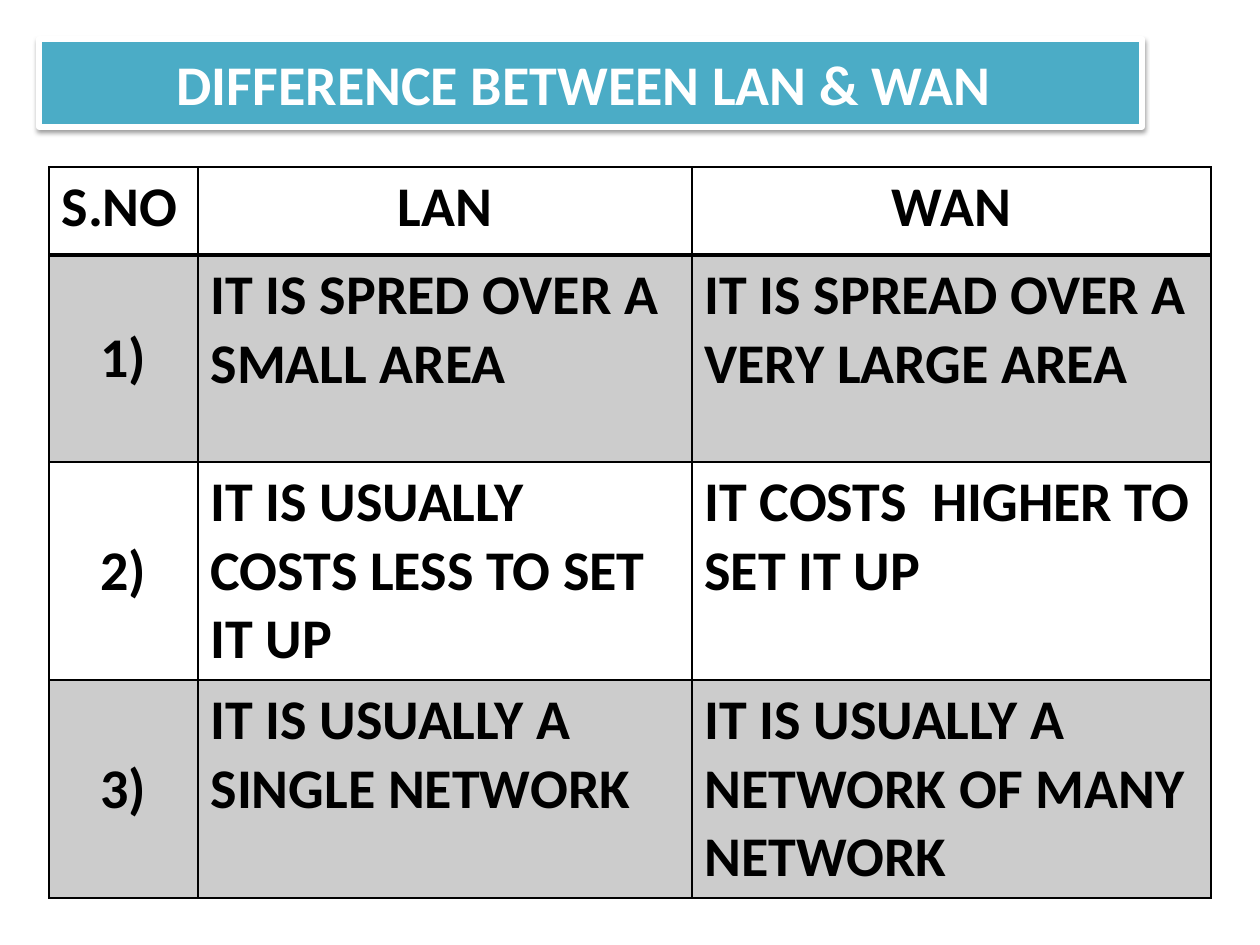
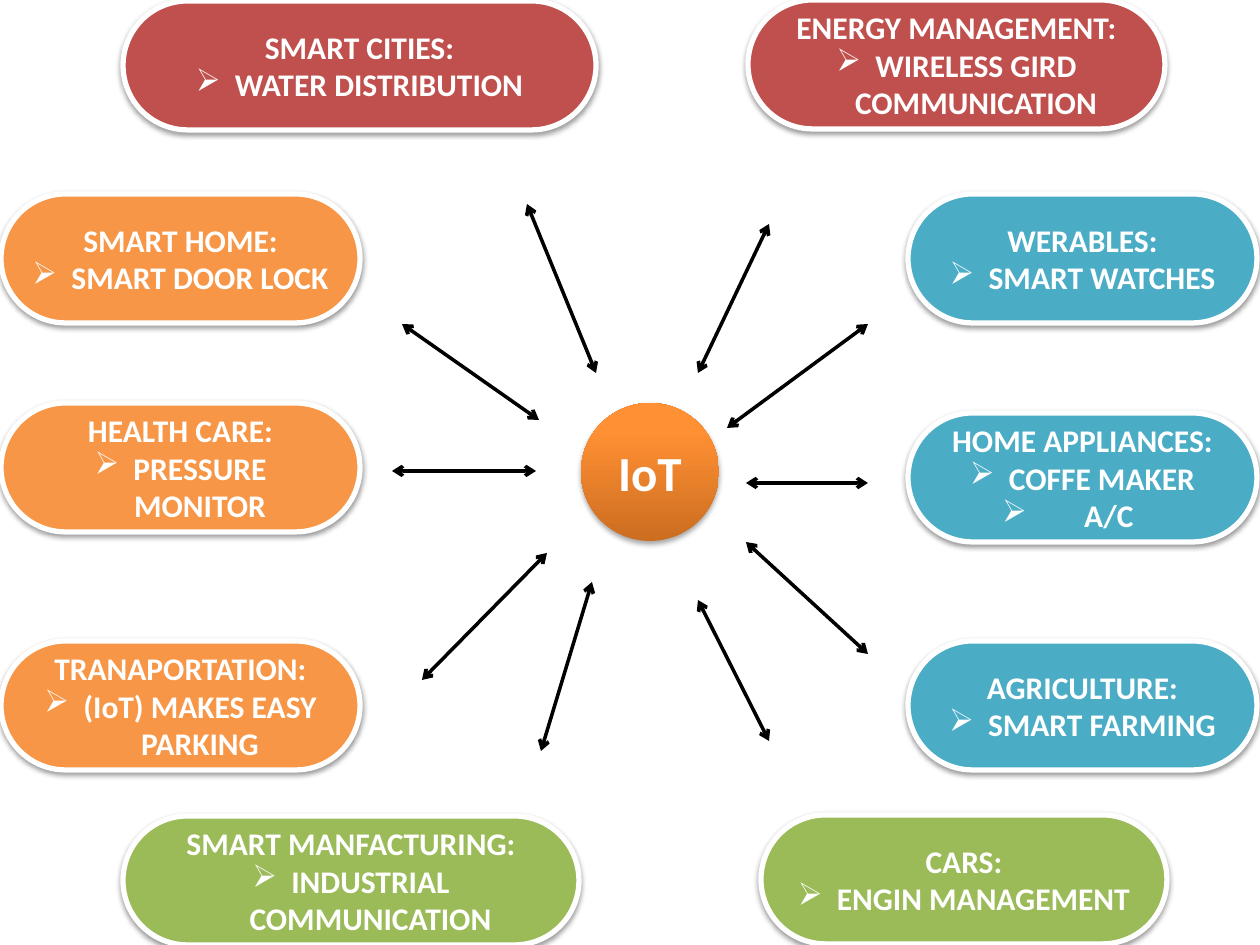
from dataclasses import dataclass

from lxml import etree
from pptx import Presentation
from pptx import util as u
from pptx.dml.color import RGBColor
from pptx.enum import shapes, text
from pptx.oxml import ns

EMU_PER_PX = 914400 / 126


@dataclass(frozen=True)
class Theme:
    font: str = "Calibri"
    white: str = "FFFFFF"
    black: str = "000000"
    band: str = "CCCCCC"
    red: str = "C0504D"
    orange: str = "F79646"
    teal: str = "4BACC6"
    green: str = "9BBB59"
    hub_dark: str = "CC6D20"
    hub_light: str = "FF9033"
    heading_size: int = 32
    hub_size: int = 28
    topic_size: int = 18
    outline: int = 3
    grid_line: float = 0.96
    header_line: float = 1.98


THEME = Theme()
CENTER = text.PP_ALIGN.CENTER
LEFT = text.PP_ALIGN.LEFT

COMPARISON = [
    ("S.NO", "LAN", "WAN"),
    ("1)", "IT IS SPRED OVER A SMALL AREA", "IT IS SPREAD OVER A VERY LARGE AREA"),
    ("2)", "IT IS USUALLY COSTS LESS TO SET IT UP", "IT COSTS  HIGHER TO SET IT UP"),
    ("3)", "IT IS USUALLY A SINGLE NETWORK", "IT IS USUALLY A NETWORK OF MANY NETWORK"),
]
COLUMN_WIDTHS = (149, 494, 519)
ROW_HEIGHTS = (88, 207, 218, 218)

# left, width, colour, then (top, heading, bullet) for each topic in the column
SIDE_COLUMNS = [
    (1, 359, THEME.orange, [
        (194, "SMART HOME:", "SMART DOOR LOCK"),
        (403, "HEALTH CARE:", "PRESSURE MONITOR"),
        (641, "TRANAPORTATION:", "(IoT) MAKES EASY PARKING"),
    ]),
    (908, 349, THEME.teal, [
        (194, "WERABLES:", "SMART WATCHES"),
        (413, "HOME APPLIANCES:", "COFFE MAKER"),
        (641, "AGRICULTURE:", "SMART FARMING"),
    ]),
]
# left, top, width, colour, heading, bullet
OUTER_TOPICS = [
    (123, 1, 473, THEME.red, "SMART CITIES:", "WATER DISTRIBUTION"),
    (748, 0, 417, THEME.red, "ENERGY MANAGEMENT:", "WIRELESS GIRD COMMUNICATION"),
    (123, 816, 456, THEME.green, "SMART MANFACTURING:", "INDUSTRIAL COMMUNICATION"),
    (761, 815, 406, THEME.green, "CARS:", "ENGIN MANAGEMENT"),
]
TOPIC_HEIGHT = 129
SPOKES = [
    (547, 553, 422, 680), (402, 324, 539, 420), (592, 582, 541, 751),
    (769, 224, 698, 373), (527, 204, 596, 373), (868, 483, 746, 483),
    (868, 654, 746, 542), (868, 324, 727, 428), (698, 600, 769, 741),
    (392, 471, 536, 471),
]


def px(length):
    return u.Emu(round(length * EMU_PER_PX))


def add_xml(parent, tag, **attributes):
    """Append a DrawingML child such as "a:ln" and return it."""
    child = etree.SubElement(parent, ns.qn(tag))
    for name, value in attributes.items():
        child.set(name, str(value))
    return child


def write(paragraph, content, *, size, color=THEME.white, align=CENTER,
          bullet=None, indent=39, hanging=39, level=0):
    """Fill a paragraph; a bullet hangs to the left of the indent."""
    paragraph.alignment = align
    run = paragraph.add_run()
    run.text = content
    run.font.name = THEME.font
    run.font.size = u.Pt(size)
    run.font.bold = True
    run.font.color.rgb = RGBColor.from_string(color)
    if bullet:
        paragraph.level = level
        properties = paragraph._p.get_or_add_pPr()
        properties.set("marL", str(px(indent)))
        properties.set("indent", str(-px(hanging)))
        add_xml(properties, "a:buChar", char=bullet)


def add_shadow(shape, opacity, distance):
    shape.shadow.inherit = False
    effects = shape._element.spPr.find(ns.qn("a:effectLst"))
    shadow = add_xml(effects, "a:outerShdw", blurRad=u.Pt(3.1), dist=u.Pt(distance),
                     dir=90 * 60000, rotWithShape=0)
    color = add_xml(shadow, "a:srgbClr", val=THEME.black)
    add_xml(color, "a:alpha", val=opacity * 1000)


def add_panel(slide, kind, left, top, width, height, color):
    """Add a filled shape with a white outline and a soft shadow."""
    shape = slide.shapes.add_shape(kind, px(left), px(top), px(width), px(height))
    shape.fill.solid()
    shape.fill.fore_color.rgb = RGBColor.from_string(color)
    shape.line.color.rgb = RGBColor.from_string(THEME.white)
    shape.line.width = u.Pt(THEME.outline)
    add_shadow(shape, 38, 1.6)
    shape.text_frame.vertical_anchor = text.MSO_ANCHOR.MIDDLE
    return shape


def add_title(slide, content):
    banner = add_panel(slide, shapes.MSO_SHAPE.RECTANGLE, 39, 39, 1103, 88, THEME.teal)
    write(banner.text_frame.paragraphs[0], content, size=THEME.heading_size)


def add_topic(slide, left, top, width, color, heading, item):
    topic = add_panel(slide, shapes.MSO_SHAPE.ROUNDED_RECTANGLE,
                      left, top, width, TOPIC_HEIGHT, color)
    topic.adjustments[0] = 0.5
    frame = topic.text_frame
    write(frame.paragraphs[0], heading, size=THEME.topic_size)
    write(frame.add_paragraph(), item, size=THEME.topic_size, bullet="➢")
    return topic


def add_hub(slide, content):
    hub = slide.shapes.add_shape(shapes.MSO_SHAPE.OVAL, px(581), px(403), px(138), px(138))
    hub.fill.gradient()
    hub.fill.gradient_angle = 90
    dark, light = hub.fill.gradient_stops
    dark.position, light.position = 0, 0.8
    dark.color.rgb = RGBColor.from_string(THEME.hub_dark)
    light.color.rgb = RGBColor.from_string(THEME.hub_light)
    hub.line.fill.background()
    add_shadow(hub, 35, 1.8)
    hub.text_frame.vertical_anchor = text.MSO_ANCHOR.MIDDLE
    write(hub.text_frame.paragraphs[0], content, size=THEME.hub_size)


def add_spoke(slide, *ends):
    """Add a hairline with an open arrowhead at both ends."""
    spoke = slide.shapes.add_connector(shapes.MSO_CONNECTOR.STRAIGHT, *map(px, ends))
    spoke.line.color.rgb = RGBColor.from_string(THEME.black)
    spoke.line.width = u.Pt(0)
    properties = spoke._element.spPr
    line = properties.find(ns.qn("a:ln"))
    for end in ("a:headEnd", "a:tailEnd"):
        add_xml(line, end, type="arrow")
    add_xml(properties, "a:effectLst")


def set_borders(cell, **widths):
    properties = cell._tc.get_or_add_tcPr()
    for side, width in widths.items():
        line = add_xml(properties, f"a:ln{side}", w=u.Pt(width))
        add_xml(add_xml(line, "a:solidFill"), "a:srgbClr", val=THEME.black)


def add_comparison(slide):
    frame = slide.shapes.add_table(
        len(ROW_HEIGHTS), len(COLUMN_WIDTHS), px(49), px(167),
        px(sum(COLUMN_WIDTHS)), px(sum(ROW_HEIGHTS)))
    table = frame.table
    for column, width in zip(table.columns, COLUMN_WIDTHS):
        column.width = px(width)
    for row, height in zip(table.rows, ROW_HEIGHTS):
        row.height = px(height)
    for row, entries in enumerate(COMPARISON):
        for column, entry in enumerate(entries):
            cell = table.cell(row, column)
            is_header, is_number = row == 0, column == 0
            set_borders(cell, L=THEME.grid_line, R=THEME.grid_line,
                        T=THEME.header_line if row == 1 else THEME.grid_line,
                        B=THEME.header_line if is_header else THEME.grid_line)
            if row % 2:
                cell.fill.solid()
                cell.fill.fore_color.rgb = RGBColor.from_string(THEME.band)
            else:
                cell.fill.background()
            if is_number and not is_header:
                cell.vertical_anchor = text.MSO_ANCHOR.MIDDLE
            write(cell.text_frame.paragraphs[0], entry, size=THEME.heading_size,
                  color=THEME.black, align=CENTER if is_header != is_number else LEFT)


def add_iot_map(slide):
    add_hub(slide, "IoT")
    for left, width, color, topics in SIDE_COLUMNS:
        for top, heading, item in topics:
            topic = add_topic(slide, left, top, width, color, heading, item)
            if heading == "HOME APPLIANCES:":
                write(topic.text_frame.add_paragraph(), "A/C", size=THEME.topic_size,
                      align=LEFT, bullet="➢", indent=145, hanging=82, level=1)
    for topic in OUTER_TOPICS:
        add_topic(slide, *topic)
    for ends in SPOKES:
        add_spoke(slide, *ends)


def main():
    presentation = Presentation()
    presentation.slide_width, presentation.slide_height = px(1260), px(945)
    blank = presentation.slide_layouts[6]
    comparison_slide = presentation.slides.add_slide(blank)
    add_title(comparison_slide, "DIFFERENCE BETWEEN LAN & WAN ")
    add_comparison(comparison_slide)
    add_iot_map(presentation.slides.add_slide(blank))
    presentation.save("out.pptx")


if __name__ == "__main__":
    main()
